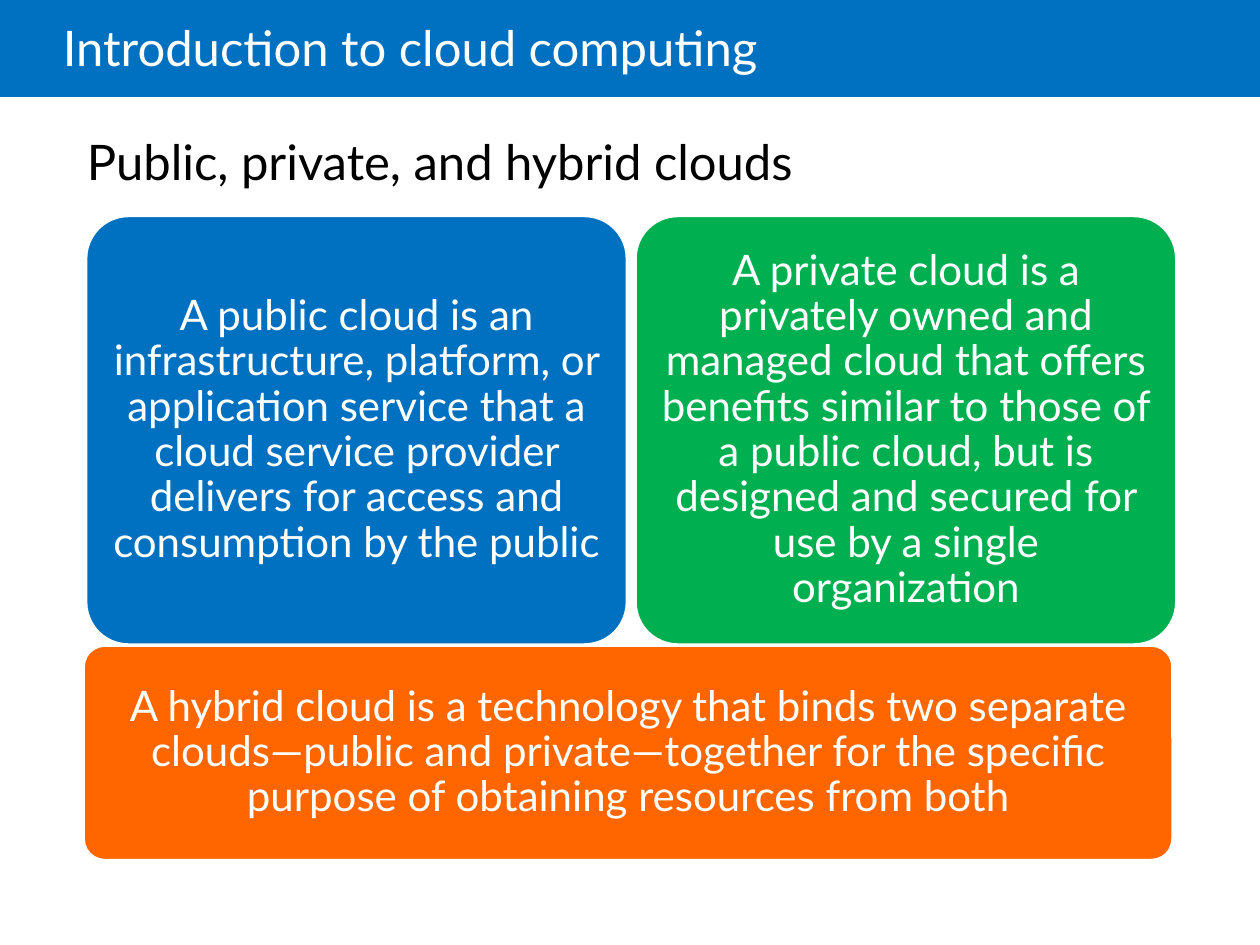
import pptx
import pptx.dml.color
import pptx.enum.shapes
import pptx.enum.text
import pptx.util

Inches = pptx.util.Inches
RGBColor = pptx.dml.color.RGBColor
Shape = pptx.enum.shapes.MSO_SHAPE
Align = pptx.enum.text.PP_ALIGN

BLUE = RGBColor(0x00, 0x70, 0xC0)
GREEN = RGBColor(0x00, 0xB0, 0x50)
ORANGE = RGBColor(0xFF, 0x66, 0x00)
WHITE = RGBColor(0xFF, 0xFF, 0xFF)
BLACK = RGBColor(0x00, 0x00, 0x00)
FONT = "Lato"

CARD_TOP, CARD_WIDTH, CARD_HEIGHT = 1.71, 4.3, 3.41


def write_text(shape, text, size, color, insets, align=Align.LEFT, spacing=1.0):
    """Fill a shape with one middle-anchored paragraph; insets run left, top, right, bottom."""
    frame = shape.text_frame
    frame.word_wrap = True
    frame.vertical_anchor = pptx.enum.text.MSO_ANCHOR.MIDDLE
    (frame.margin_left, frame.margin_top,
     frame.margin_right, frame.margin_bottom) = map(Inches, insets)
    paragraph = frame.paragraphs[0]
    paragraph.alignment = align
    paragraph.line_spacing = spacing
    run = paragraph.add_run()
    run.text = text
    run.font.name = FONT
    run.font.size = pptx.util.Pt(size)
    run.font.color.rgb = color


def add_filled_shape(slide, kind, box, fill):
    shape = slide.shapes.add_shape(kind, *map(Inches, box))
    shape.shadow.inherit = False
    shape.fill.solid()
    shape.fill.fore_color.rgb = fill
    shape.line.fill.background()
    return shape


def add_heading(slide, box, text, color, insets, spacing=1.0):
    heading = slide.shapes.add_textbox(*map(Inches, box))
    write_text(heading, text, 28, color, insets, spacing=spacing)


def add_card(slide, box, fill, text):
    card = add_filled_shape(slide, Shape.ROUNDED_RECTANGLE, box, fill)
    card.adjustments[0] = 0.1
    card.line.color.rgb = WHITE
    card.line.width = pptx.util.Pt(2)
    write_text(card, text, 24, WHITE, (0.1, 0.1, 0.1, 0.1), Align.CENTER, 0.9)


def main():
    presentation = pptx.Presentation()
    presentation.slide_width = Inches(10)
    presentation.slide_height = Inches(7.5)
    slide = presentation.slides.add_slide(presentation.slide_layouts[6])

    add_filled_shape(slide, Shape.RECTANGLE, (0, 0, 10, 0.77), BLUE)
    add_heading(slide, (0.5, 0, 8.5, 0.81), "Introduction to cloud computing",
                WHITE, (0, 0.05, 0.1, 0.05), 0.85)

    add_card(slide, (0.66, CARD_TOP + CARD_HEIGHT, 8.65, 1.71), ORANGE,
             "A hybrid cloud is a technology that binds two separate "
             "clouds—public and private—together for the specific purpose "
             "of obtaining resources from both")
    add_card(slide, (0.68, CARD_TOP, CARD_WIDTH, CARD_HEIGHT), BLUE,
             "A public cloud is an infrastructure, platform, or application "
             "service that a cloud service provider delivers for access and "
             "consumption by the public")
    add_card(slide, (5.04, CARD_TOP, CARD_WIDTH, CARD_HEIGHT), GREEN,
             "A private cloud is a privately owned and managed cloud that "
             "offers benefits similar to those of a public cloud, but is "
             "designed and secured for use by a single organization")

    add_heading(slide, (0.49, 0.88, 8.6, 0.79), "Public, private, and hybrid clouds",
                BLACK, (0.2, 0.05, 0.2, 0.05))

    presentation.save("out.pptx")


if __name__ == "__main__":
    main()
